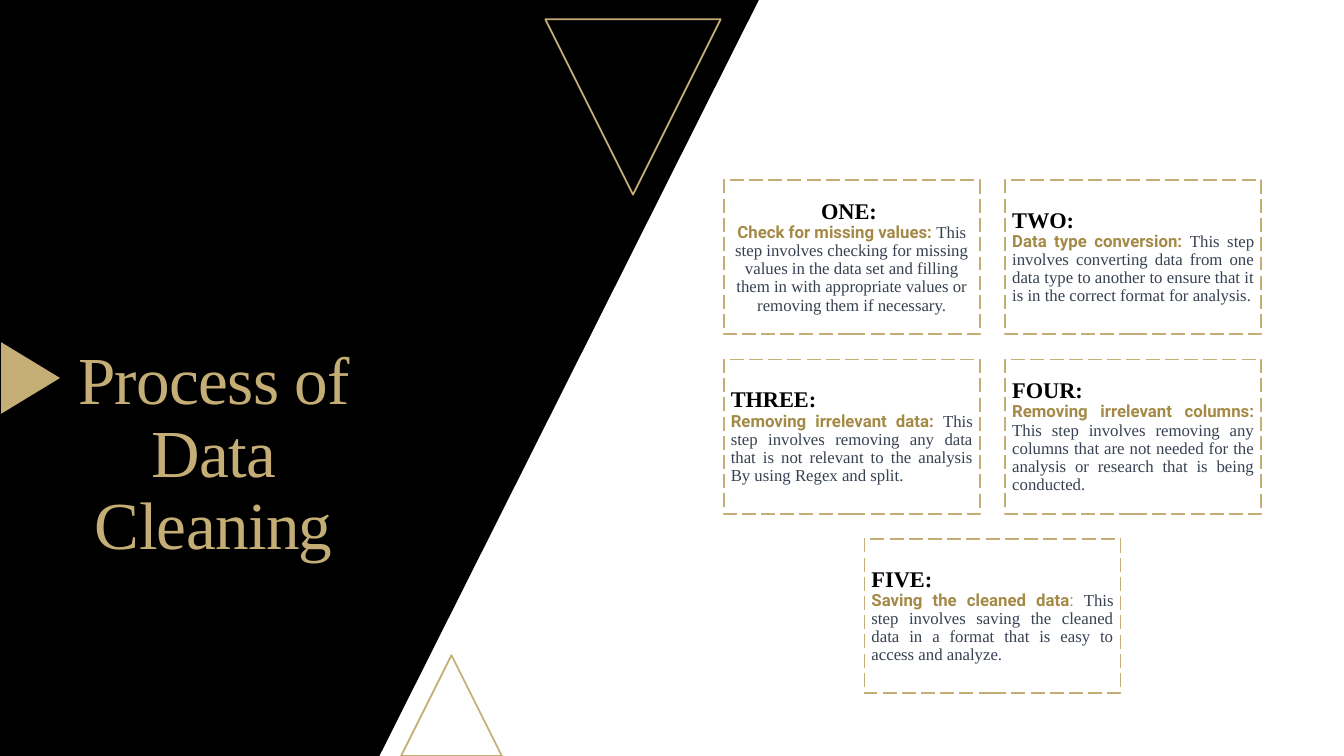
from copy import deepcopy

from pptx import Presentation
from pptx.dml.color import RGBColor
from pptx.enum import dml, shapes, text
from pptx.util import Pt

BLACK = RGBColor(0x00, 0x00, 0x00)
GOLD = RGBColor(0xC4, 0xAE, 0x75)
TITLE_GOLD = RGBColor(0xC5, 0xAE, 0x76)
DARK_GOLD = RGBColor(0xA4, 0x8A, 0x46)
SLATE = RGBColor(0x37, 0x41, 0x51)

SERIF = "Times New Roman"
HEADING = {"name": SERIF, "size": Pt(16), "bold": True, "color": BLACK}
LABEL = {"name": "Roboto", "size": Pt(12), "bold": True, "color": DARK_GOLD}
COLON = {**LABEL, "bold": False}
BODY = {"name": SERIF, "size": Pt(12), "bold": False, "color": SLATE}
TITLE = {"name": SERIF, "size": Pt(48), "bold": False, "color": TITLE_GOLD}

CENTER, JUSTIFY = text.PP_ALIGN.CENTER, text.PP_ALIGN.JUSTIFY

# Each step: heading, alignment, then the formatted pieces of its text
STEPS = [
    ("ONE: ", CENTER, [
        ("Check for missing values: ", LABEL),
        ("This step involves checking for missing values in the data set and "
         "filling them in with appropriate values or removing them if necessary.", BODY)]),
    ("TWO: ", JUSTIFY, [
        ("Data type conversion: ", LABEL),
        ("This step involves converting data from one data type to another to "
         "ensure that it is in the correct format for analysis.", BODY)]),
    ("THREE: ", JUSTIFY, [
        ("Removing irrelevant data: ", LABEL),
        ("This step involves removing any data that is not relevant to the "
         "analysis By using Regex and split.", BODY)]),
    ("FOUR: ", JUSTIFY, [
        ("Removing irrelevant columns: ", LABEL),
        ("This step involves removing any columns that are not needed for the "
         "analysis or research that is being conducted.", BODY)]),
    ("FIVE: ", JUSTIFY, [
        ("Saving the cleaned data", LABEL),
        (": ", COLON),
        ("This step involves saving the cleaned data in a format that is easy "
         "to access and analyze.", BODY)]),
]


def add_span(para, words, style):
    span = para.add_run()
    span.text = words
    for key, value in style.items():
        if key == "color":
            span.font.color.rgb = value
        else:
            setattr(span.font, key, value)
    return span


def paint(shape, fill=None, line=None):
    shape.shadow.inherit = False
    if fill is None:
        shape.fill.background()
    else:
        shape.fill.solid()
        shape.fill.fore_color.rgb = fill
    if line is None:
        shape.line.fill.background()
    else:
        shape.line.color.rgb = line
        shape.line.width = Pt(1.25)


def add_shape(page, kind, box, **colors):
    shape = page.shapes.add_shape(kind, *(Pt(length) for length in box))
    paint(shape, **colors)
    return shape


def add_backdrop(page, box):
    left, top, width, height = box
    # Slanted black panel
    outline = page.shapes.build_freeform(left, top, scale=Pt(1))
    outline.add_line_segments([(left + width, top), (left + width / 2, top + height),
                               (left, top + height)])
    paint(outline.convert_to_shape(), fill=BLACK)

    # Outlined triangles along the slant, and the solid marker beside the title
    triangle = shapes.MSO_SHAPE.ISOSCELES_TRIANGLE
    add_shape(page, triangle, (left + 286.5, top + height - 72, 72, 72), line=GOLD)
    inverted = add_shape(page, triangle, (left + 389.5, top + 13.7, 125.3, 125.3), line=GOLD)
    inverted.rotation = 180
    marker = add_shape(page, triangle, (left - 3.6, top + 249, 51, 42), fill=GOLD)
    marker.rotation = 90


def add_title(page, box):
    title = page.shapes.title
    title.left, title.top, title.width, title.height = (Pt(length) for length in box)
    frame = title.text_frame
    frame.word_wrap = True
    frame.auto_size = text.MSO_AUTO_SIZE.NONE
    frame.vertical_anchor = text.MSO_ANCHOR.MIDDLE
    para = frame.paragraphs[0]
    para.alignment, para.line_spacing = CENTER, 0.9
    span = add_span(para, "Process of Data Cleaning", TITLE)
    span.font._element.set("spc", "-50")
    # Bring the title in front of the black panel
    page.shapes._spTree.append(title._element)


def add_card(page, box, heading, alignment, pieces):
    card = add_shape(page, shapes.MSO_SHAPE.RECTANGLE, box, line=GOLD)
    card.line.dash_style = dml.MSO_LINE.LONG_DASH
    frame = card.text_frame
    frame.word_wrap = True
    frame.vertical_anchor = text.MSO_ANCHOR.MIDDLE
    for side in ("left", "top", "right", "bottom"):
        setattr(frame, f"margin_{side}", Pt(5))
    para = frame.paragraphs[0]
    para.alignment, para.line_spacing = alignment, 0.9
    span = add_span(para, heading, HEADING)
    # The line break takes the size of the heading
    para.add_line_break()
    para._p[-1].append(deepcopy(span.font._element))
    for words, style in pieces:
        add_span(para, words, style)


def add_steps(page, box, columns=2, gap=18.1):
    left, top, width, height = box
    rows = -(-len(STEPS) // columns)
    card_width = (width - gap * (columns - 1)) / columns
    card_height = (height - gap * (rows - 1)) / rows
    for row in range(rows):
        cards = STEPS[row * columns:(row + 1) * columns]
        # A short last row is centred
        indent = (columns - len(cards)) * (card_width + gap) / 2
        for column, step in enumerate(cards):
            x = left + indent + column * (card_width + gap)
            y = top + row * (card_height + gap)
            add_card(page, (x, y, card_width, card_height), *step)


def main():
    deck = Presentation()
    deck.slide_width, deck.slide_height = Pt(960), Pt(540)
    page = deck.slides.add_slide(deck.slide_layouts.get_by_name("Title Only"))
    add_backdrop(page, (0, 0, 542, 540))
    add_steps(page, (517, 128.7, 384, 366.5))
    add_title(page, (23.8, 231, 257.8, 188.6))
    deck.save("out.pptx")


if __name__ == "__main__":
    main()
